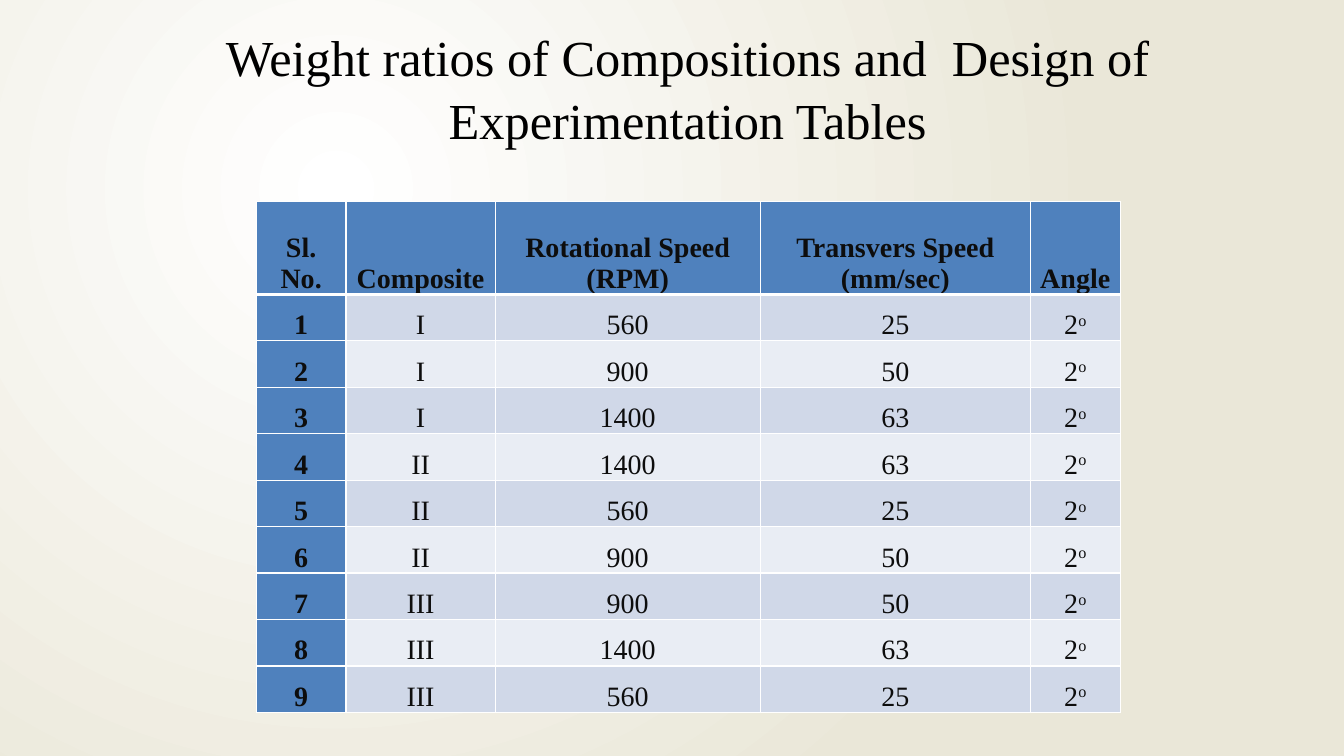
"""Build the slide with the design of experimentation table."""
import pptx
import pptx.dml.color
import pptx.enum.text
import pptx.oxml
import pptx.oxml.ns
import pptx.util

Cm, Pt = pptx.util.Cm, pptx.util.Pt
CENTER = pptx.enum.text.PP_ALIGN.CENTER
ANCHOR = pptx.enum.text.MSO_ANCHOR
qn = pptx.oxml.ns.qn

HEADINGS = ["Sl. No.", "Composite", "Rotational Speed (RPM)",
            "Transvers Speed (mm/sec)", "Angle"]
RUNS = [("I", 560), ("I", 900), ("I", 1400),
        ("II", 1400), ("II", 560), ("II", 900),
        ("III", 900), ("III", 1400), ("III", 560)]
TRANSVERSE = {560: 25, 900: 50, 1400: 63}


def rgb(value):
    return pptx.dml.color.RGBColor.from_string(value)


def set_all(obj, values):
    for name, value in values.items():
        setattr(obj, name, value)


class Deck:
    font = "Times New Roman"
    blue, bands, white = "4F81BD", ("D0D8E8", "E9EDF4"), "FFFFFF"
    ink, black, sand = "0D0D0D", "000000", "EAE7D8"

    def __init__(self, prs):
        self.s = prs.slides.add_slide(prs.slide_layouts[6])

    def background(self):
        fill = self.s.background.fill
        fill.gradient()
        for stop, color, position in zip(fill.gradient_stops, (self.white, self.sand), (0, 1)):
            stop.color.rgb = rgb(color)
            stop.position = position
        lin = next(self.s._element.iter(qn("a:lin")))
        lin.getparent().replace(lin, pptx.oxml.parse_xml(
            f'<a:path {pptx.oxml.ns.nsdecls("a")} path="circle">'
            '<a:fillToRect l="50000" t="50000" r="100000" b="100000"/></a:path>'))

    def run(self, p, text, size, color, bold=False, raised=False):
        r = p.add_run()
        r.text = text
        set_all(r.font, {"name": self.font, "size": Pt(size), "bold": bold})
        r.font.color.rgb = rgb(color)
        if raised:
            r._r.get_or_add_rPr().set("baseline", "30000")

    def title(self, text, left, top, width, height):
        sp = self.s.shapes.add_textbox(Cm(left), Cm(top), Cm(width), Cm(height))
        tf = sp.text_frame
        set_all(tf, {"word_wrap": True, "vertical_anchor": ANCHOR.MIDDLE})
        p = tf.paragraphs[0]
        set_all(p, {"alignment": CENTER, "line_spacing": 1.05})
        self.run(p, text, 36, self.black)

    def borders(self, cell, top, bottom):
        tcPr = cell._tc.get_or_add_tcPr()
        for side, width in {"L": 1, "R": 1, "T": top, "B": bottom}.items():
            tcPr.append(pptx.oxml.parse_xml(
                f'<a:ln{side} {pptx.oxml.ns.nsdecls("a")} w="{Pt(width)}">'
                f'<a:solidFill><a:srgbClr val="{self.white}"/></a:solidFill></a:ln{side}>'))

    def cell(self, cell, text, row, col):
        head = row == 0 or col == 0
        self.borders(cell, 3 if row == 1 else 1, 3 if row == 0 else 1)
        cell.fill.solid()
        cell.fill.fore_color.rgb = rgb(self.blue if head else self.bands[(row - 1) % 2])
        set_all(cell, {"vertical_anchor": ANCHOR.BOTTOM, "margin_left": Cm(0.18),
                       "margin_right": Cm(0.18), "margin_top": 0, "margin_bottom": 0})
        p = cell.text_frame.paragraphs[0]
        p.alignment = CENTER
        self.run(p, text, 20, self.ink, bold=head)
        if row and col == len(HEADINGS) - 1:
            self.run(p, "o", 20, self.ink, raised=True)

    def table(self, rows, left, top, widths, heights):
        tbl = self.s.shapes.add_table(len(rows), len(widths), Cm(left), Cm(top),
                                      Cm(sum(widths)), Cm(sum(heights))).table
        set_all(tbl, {"first_row": False, "horz_banding": False})
        for column, width in zip(tbl.columns, widths):
            column.width = Cm(width)
        for i, (row, height) in enumerate(zip(rows, heights)):
            tbl.rows[i].height = Cm(height)
            for j, text in enumerate(row):
                self.cell(tbl.cell(i, j), text, i, j)


def main():
    prs = pptx.Presentation()
    set_all(prs, {"slide_width": Cm(33.87), "slide_height": Cm(19.05)})
    deck = Deck(prs)
    deck.background()
    rows = [HEADINGS] + [[str(n), composite, str(speed), str(TRANSVERSE[speed]), "2"]
                         for n, (composite, speed) in enumerate(RUNS, 1)]
    deck.table(rows, 6.46, 5.08, [2.26, 3.76, 6.68, 6.81, 2.26], [2.34] + [1.17] * len(RUNS))
    deck.title("Weight ratios of Compositions and  Design of Experimentation Tables",
               1.7, 0.41, 31.27, 3.53)
    prs.save("out.pptx")


if __name__ == "__main__":
    main()
